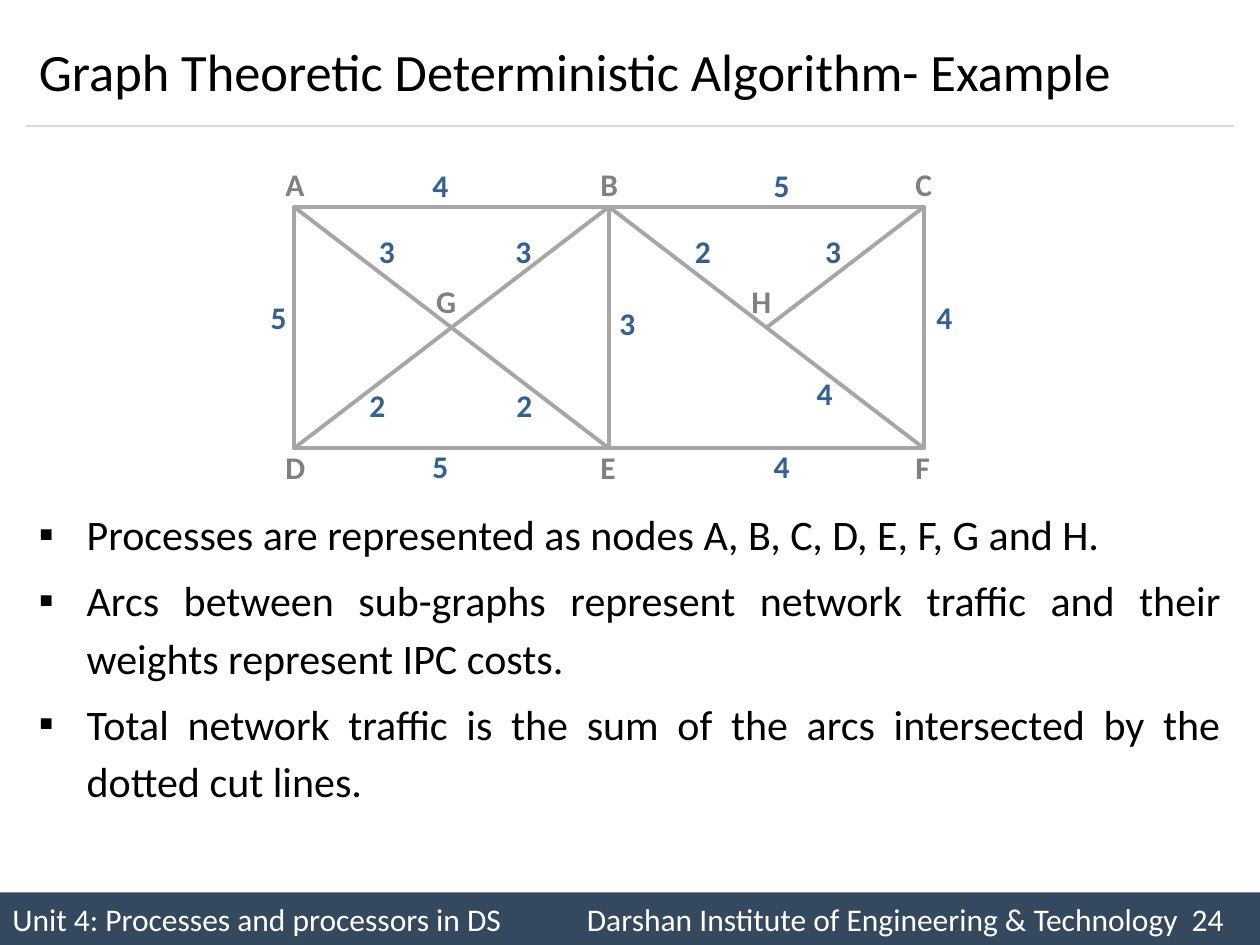
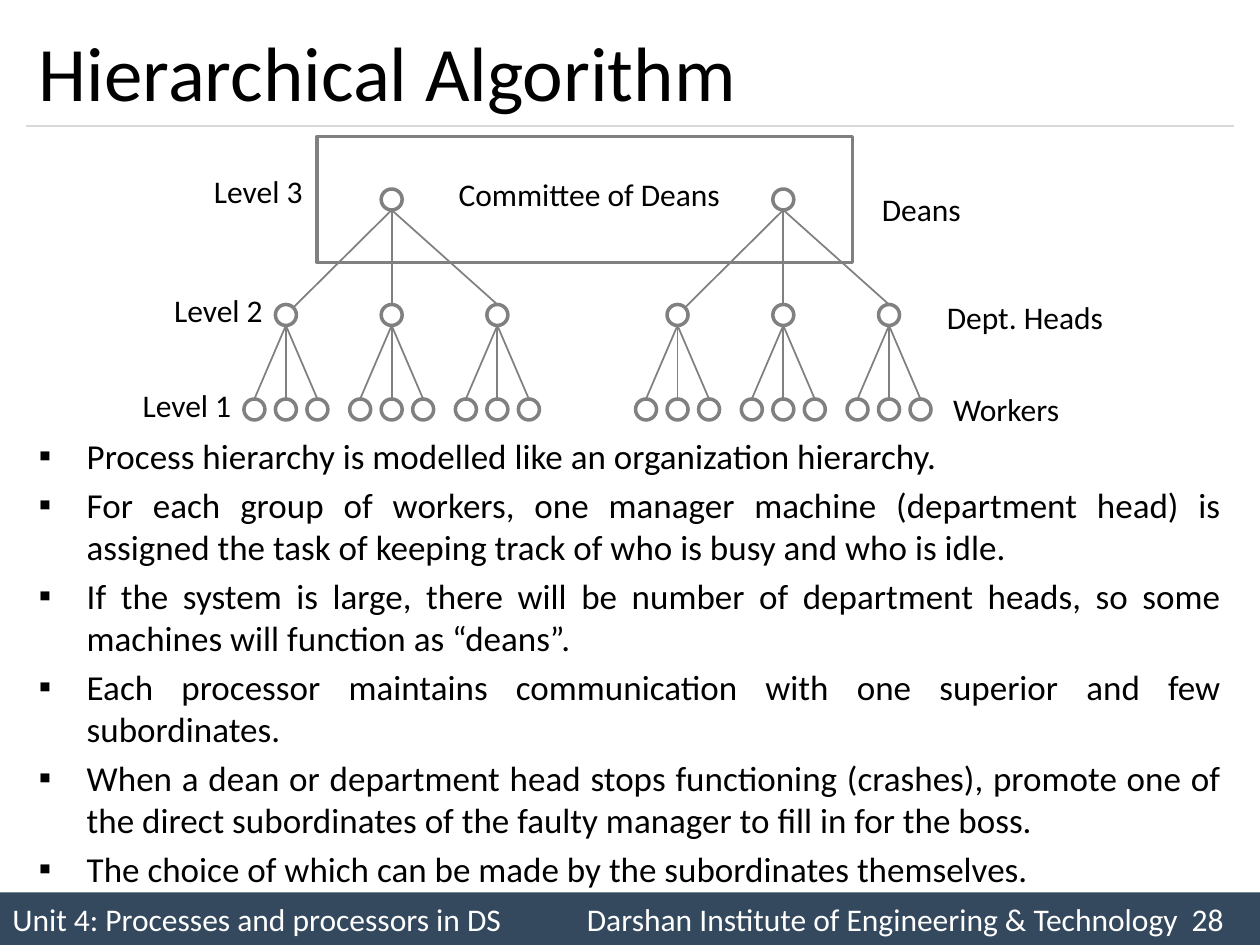
from lxml.etree import SubElement
from pptx import Presentation
from pptx.dml.color import RGBColor
from pptx.enum.shapes import MSO_CONNECTOR as Link, MSO_SHAPE as Form
from pptx.enum.text import MSO_ANCHOR as Anchor, MSO_AUTO_SIZE as Fit, PP_ALIGN as Align
from pptx.oxml.ns import qn
from pptx.util import Inches, Pt

BLACK = RGBColor(0x00, 0x00, 0x00)
WHITE = RGBColor(0xFF, 0xFF, 0xFF)
NAVY = RGBColor(0x34, 0x49, 0x5E)
BLUE = RGBColor(0x37, 0x60, 0x92)
GRAY = RGBColor(0x80, 0x80, 0x80)
SILVER = RGBColor(0xA6, 0xA6, 0xA6)
PALE = RGBColor(0xD9, 0xD9, 0xD9)

FONT = "Calibri"
COLS, ROWS = 120, 90  # grid cells across and down the slide
EDGE, WIDE = 2.5, 115  # side margin and content width
UNIT = "Unit 4: Processes and processors in DS"
SCHOOL = "Darshan Institute of Engineering & Technology"


class Deck:
    def __init__(self):
        self.prs = Presentation()
        self.prs.slide_width = Inches(10)
        self.prs.slide_height = Inches(7.5)
        self.cell = self.prs.slide_width // COLS
        self.page = None

    def grid(self, *cells):
        return [round(n * self.cell) for n in cells]

    def place(self, item, box):
        item.left, item.top, item.width, item.height = self.grid(*box)

    def style(self, frame, size, color, bold=False, align=Align.LEFT):
        for para in frame.paragraphs:
            para.alignment = align
            for run in para.runs:
                run.font.name = FONT
                run.font.size = Pt(size)
                run.font.bold = bold
                run.font.color.rgb = color

    def start(self, title, size, num):
        """New slide with its title, rule and footer band."""
        self.page = self.prs.slides.add_slide(self.prs.slide_layouts[1])
        head = self.page.shapes.title
        self.place(head, (EDGE, 1.5, WIDE, 10.5))
        frame = head.text_frame
        frame.text = title
        frame.auto_size = Fit.NONE
        frame.vertical_anchor = Anchor.MIDDLE
        self.style(frame, size, BLACK)
        self.line((EDGE, 12), (EDGE + WIDE, 12), PALE, 0.75)
        self.band(num)

    def band(self, num):
        bar = self.shape(Form.RECTANGLE, (0, 85, COLS, 5), NAVY)
        frame = bar.text_frame
        frame.text = f"{UNIT}\t{SCHOOL}\t{num}"
        frame.vertical_anchor = Anchor.MIDDLE
        props = frame.paragraphs[0]._p.get_or_add_pPr()
        tabs = SubElement(props, qn("a:tabLst"))
        for stop in (4.56, 9.36):
            SubElement(tabs, qn("a:tab"), pos=str(Inches(stop)), algn="l")
        self.style(frame, 18, WHITE)

    def shape(self, form, box, fill, edge=None):
        item = self.page.shapes.add_shape(form, *self.grid(*box))
        item.shadow.inherit = False
        item.fill.solid()
        item.fill.fore_color.rgb = fill
        if edge is None:
            item.line.fill.background()
        else:
            item.line.color.rgb = edge
            item.line.width = Pt(2)
        return item

    def ring(self, x, y):
        self.shape(Form.OVAL, (x - 1, y - 1, 2, 2), WHITE, GRAY)

    def line(self, start, end, color, width):
        item = self.page.shapes.add_connector(Link.STRAIGHT, *self.grid(*start, *end))
        item.line.color.rgb = color
        item.line.width = Pt(width)
        SubElement(item._element.spPr, qn("a:effectLst"))

    def label(self, text, x, y, width=4, color=BLACK, bold=False, align=Align.LEFT, wrap=False):
        item = self.page.shapes.add_textbox(*self.grid(x, y, width, 4.8))
        frame = item.text_frame
        frame.text = text
        frame.word_wrap = wrap
        self.style(frame, 18, color, bold, align)

    def bullets(self, lines, top, height, size, pitch=1.0):
        body = self.page.placeholders[1]
        self.place(body, (EDGE, top, WIDE, height))
        frame = body.text_frame
        frame.text = "\n".join(lines)
        frame.auto_size = Fit.NONE
        for i, para in enumerate(frame.paragraphs):
            props = para._p.get_or_add_pPr()
            props.set("marL", str(Inches(0.38)))
            props.set("indent", str(-Inches(0.38)))
            SubElement(props, qn("a:buFont"), typeface=FONT)
            SubElement(props, qn("a:buChar"), char="▪")
            para.line_spacing = pitch
            para.space_before = Pt(size * 0.2 if i else 0)
        self.style(frame, size, BLACK, align=Align.JUSTIFY)


def graph(deck):
    deck.start("Graph Theoretic Deterministic Algorithm- Example", 30, 24)
    deck.bullets([
        "Processes are represented as nodes A, B, C, D, E, F, G and H.",
        "Arcs between sub-graphs represent network traffic and their weights represent IPC costs.",
        "Total network traffic is the sum of the arcs intersected by the dotted cut lines.",
    ], 47.2, 35.8, 24, 1.14)

    # Frame and arcs
    left, top, step, drop = 28, 19.7, 30, 23
    nodes = {name: (left + i % 3 * step, top + i // 3 * drop)
             for i, name in enumerate("ABCDEF")}
    nodes["H"] = (left + 1.5 * step, top + drop / 2)
    deck.shape(Form.RECTANGLE, (left, top, 2 * step, drop), WHITE, SILVER)
    for a, b in ("BE", "AE", "BF", "BD", "CH"):
        deck.line(nodes[a], nodes[b], SILVER, 2.25)

    # Node names
    for name in "ABCDEF":
        x, y = nodes[name]
        lift = 4.6 if y == top else 0.6
        deck.label(name, x - 2, y - lift, color=GRAY, bold=True, wrap=True)
    for name, x in (("G", 40), ("H", 70)):
        deck.label(name, x, 26.3, 5, GRAY, True, Align.CENTER, True)

    # Arc weights, row by row
    weights = {
        15.2: (("4", 40), ("5", 72.5)),
        21.5: (("3", 34.9), ("3", 47.9), ("2", 65), ("3", 77.4)),
        27.8: (("5", 24.6), ("4", 88)),
        28.4: (("3", 57.8),),
        35: (("4", 76.6),),
        36.2: (("2", 34), ("2", 48)),
        42: (("5", 40), ("4", 72.5)),
    }
    for y, row in weights.items():
        for cost, x in row:
            deck.label(cost, x, y, color=BLUE, bold=True, wrap=True)


def tree(deck):
    deck.start("Hierarchical Algorithm", 44, 28)
    deck.bullets([
        "Process hierarchy is modelled like an organization hierarchy.",
        "For each group of workers, one manager machine (department head) is assigned "
        "the task of keeping track of who is busy and who is idle.",
        "If the system is large, there will be number of department heads, so some "
        "machines will function as “deans”.",
        "Each processor maintains communication with one superior and few subordinates.",
        "When a dean or department head stops functioning (crashes), promote one of the "
        "direct subordinates of the faulty manager to fill in for the boss.",
        "The choice of which can be made by the subordinates themselves.",
    ], 40.8, 44.2, 20)

    # Committee box, then each dean with three heads of three workers
    deck.shape(Form.RECTANGLE, (30.2, 13, 51, 12), WHITE, GRAY)
    top, mid, low = 19, 30, 39
    for dean in (37.3, 74.6):
        deck.ring(dean, top)
        for i in (-1, 0, 1):
            head = dean + i * 10.07
            deck.ring(head, mid)
            end = (head + 0.7, mid - 0.7) if i < 0 else (head, mid - 1)
            deck.line((dean, top + 1), end, GRAY, 1)
            for j in (-1, 0, 1):
                hand = head + j * 3
                deck.ring(hand, low)
                deck.line((head, mid + 1), (hand, low - 1), GRAY, 1)

    # Level and role names
    for text, x, y, width in (
        ("Level 3", 19.2, 15.8, 11),
        ("Level 2", 15.4, 27.1, 11),
        ("Level 1", 12.4, 36.2, 11),
        ("Committee of Deans", 42.5, 16.1, 28.1),
        ("Deans", 82.8, 17.5, 10),
        ("Dept. Heads", 89, 27.8, 17.5),
        ("Workers", 89.6, 36.6, 12.6),
    ):
        deck.label(text, x, y, width)


def main():
    deck = Deck()
    graph(deck)
    tree(deck)
    deck.prs.save("out.pptx")


if __name__ == "__main__":
    main()
